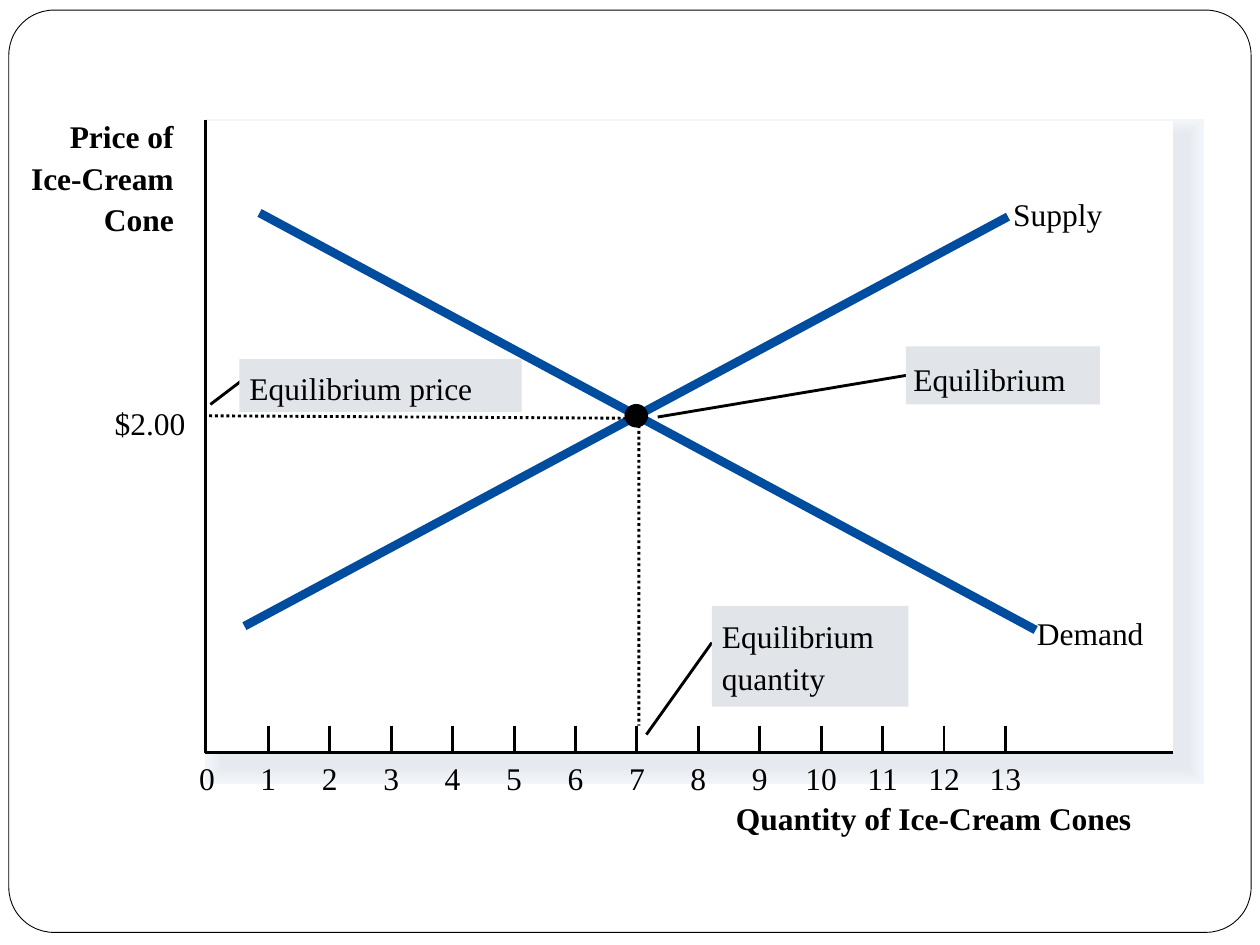
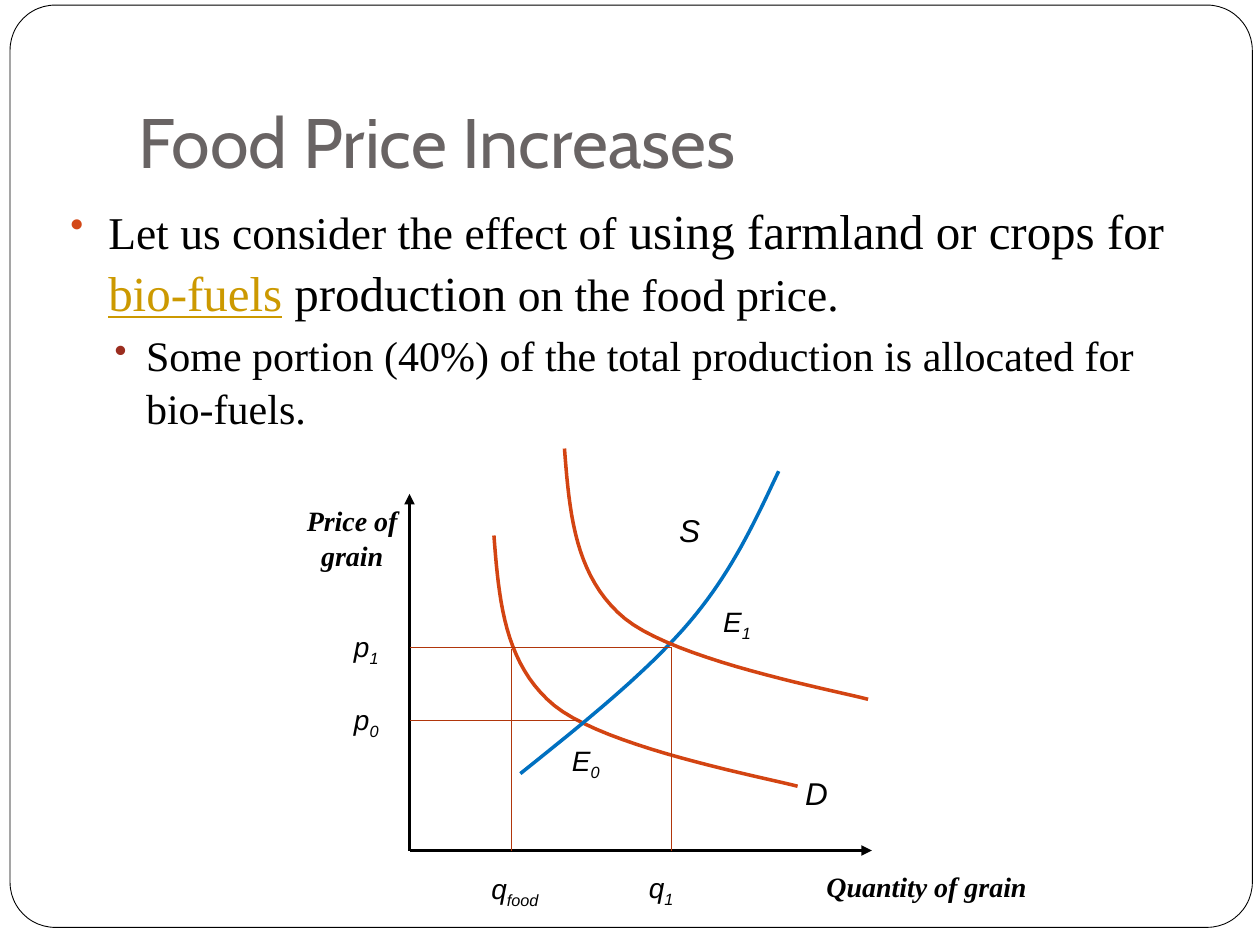
from lxml import etree
from pptx import Presentation
from pptx.dml.color import RGBColor
from pptx.enum import dml, shapes, text
from pptx.oxml import ns
from pptx.util import Inches, Pt

COLORS = {
    "black": "000000", "white": "FFFFFF", "callout": "E1E5E9", "curve": "004C9F",
    "halo_outer": "F3F6F9", "halo_inner": "E6E9EF", "title": "696464",
    "link": "CC9900", "bullet": "D34817", "sub_bullet": "9B2D1F",
    "demand": "D34412", "supply": "0070C0", "guide": "B1360B",
}
SERIF, SANS, TITLE_FONT = "Times New Roman", "Arial", "Cabin"
AXIS_WIDTH = 1.63

# Slide 1: market equilibrium
PLOT = (1.64, 0.96, 7.67, 5.02)
HALO = (1.76, 1.07, 7.67, 5.02)
HALO_LAYERS, HALO_WIDTHS = 11, (18.5, 1.63)
AXES = [(1.63, 0.95), (1.63, 5.97), (9.31, 5.97)]
TICK_TOP, TICK_BOTTOM = 5.76, 5.97
FIRST_TICK, LAST_TICK, TICK_COUNT = 2.13, 7.98, 13
PRICE_TITLE = ["Price of", "Ice-Cream", "Cone"]
# lines, box, text inset (left, top), pointer from and to
CALLOUTS = [
    (["Equilibrium", "quantity"], (5.65, 4.81, 1.56, 0.8), (0.08, 0.06), (5.65, 5.1, 5.13, 5.83)),
    (["Equilibrium price"], (1.9, 2.85, 2.24, 0.42), (0.08, 0.05), (1.92, 3.02, 1.67, 3.21)),
    (["Equilibrium"], (7.19, 2.75, 1.54, 0.46), (0.06, 0.08), (7.25, 2.97, 5.22, 3.31)),
]
# name, line, label box
MARKET_LINES = [
    ("Supply", (8, 1.72, 1.94, 4.97), (8.04, 1.52, 0.79, 0.31)),
    ("Demand", (2.06, 1.69, 8.22, 5), (8.23, 4.84, 0.97, 0.32)),
]
PRICE_GUIDE = (1.66, 3.3, 5.04, 3.32)
QUANTITY_GUIDE = [(5.02, 3.3), (5.07, 3.37), (5.07, 5.76)]
EQUILIBRIUM_DOT = (4.96, 3.21, 0.18, 0.18)

# Slide 2: food prices
TITLE = "Food Price Increases"
# indent, hanging, space before, bullet colour, runs of (text, size, colour)
BULLETS = [
    (0.3, 0.3, 5, "bullet", [
        ("Let us consider the effect of ", 26, "black"),
        ("using farmland or crops for ", 28, "black"),
        ("bio-fuels", 28, "link"),
        (" production", 28, "black"),
        (" on the food price.", 26, "black")]),
    (0.6, 0.25, 3, "sub_bullet", [
        ("Some portion (40%) of the total production is allocated for bio-fuels.", 24, "black")]),
]
ORIGIN = (3.25, 6.75)
AXIS_ENDS = [(3.25, 3.92), (6.92, 6.75)]
DEMAND_CURVE = [(3.92, 4.25), (3.96, 4.76), (4, 5.27), (4.4, 5.6),
                (4.81, 5.93), (6.02, 6.16), (6.33, 6.24)]
DEMAND_SHIFT = (0.56, -0.69)
SUPPLY_CURVE = [(4.13, 6.14), (4.63, 5.74), (5.13, 5.34), (5.47, 4.94),
                (5.81, 4.54), (5.99, 4.14), (6.18, 3.74)]
GUIDES = [(5.33, 5.14, 3.25, 5.14), (4.61, 5.72, 3.25, 5.72),
          (5.33, 5.14, 5.33, 6.75), (4.06, 5.15, 4.06, 6.75)]
# symbol, subscript, size, box
SYMBOLS = [
    ("D", "", 18, (6.33, 6.08, 0.32, 0.31)),
    ("S", "", 18, (5.33, 4, 0.35, 0.33)),
    ("E", "0", 16, (4.48, 5.84, 0.43, 0.4)),
    ("E", "1", 16, (5.68, 4.74, 0.43, 0.4)),
    ("p", "0", 16, (2.75, 5.52, 0.43, 0.4)),
    ("p", "1", 16, (2.75, 4.94, 0.43, 0.4)),
    ("q", "1", 16, (5.09, 6.85, 0.43, 0.4)),
    ("q", "food", 16, (3.84, 6.86, 0.64, 0.4)),
]
GRAIN_AXIS_TITLES = [
    (["Price of", "grain"], (2.24, 3.92, 1.11, 0.64), text.PP_ALIGN.CENTER),
    (["Quantity of grain"], (6.5, 6.83, 1.96, 0.38), text.PP_ALIGN.LEFT),
]


def rgb(color):
    return RGBColor.from_string(COLORS.get(color, color))


def inches(values):
    return [Inches(value) for value in values]


def add_child(parent, tag, **attributes):
    return etree.SubElement(parent, ns.qn(tag), attributes)


def style_line(shape, color, width, dash=None):
    shape.line.color.rgb = rgb(color)
    shape.line.width = Pt(width)
    if dash:
        shape.line.dash_style = dash


def add_box(slide, kind, box, fill, line=None, width=0.5):
    shape = slide.shapes.add_shape(kind, *inches(box))
    shape.shadow.inherit = False
    shape.fill.solid()
    shape.fill.fore_color.rgb = rgb(fill)
    if line:
        style_line(shape, line, width)
    else:
        shape.line.fill.background()
    return shape


def add_line(slide, ends, color="black", width=AXIS_WIDTH, dash=None, arrow=False):
    line = slide.shapes.add_connector(shapes.MSO_CONNECTOR.STRAIGHT, *inches(ends))
    style_line(line, color, width, dash)
    if arrow:
        add_child(line.line._get_or_add_ln(), "a:tailEnd", type="triangle")
    add_child(line._element.spPr, "a:effectLst")


def add_polyline(slide, points, color="black", width=AXIS_WIDTH, dash=None):
    start, *rest = [tuple(inches(point)) for point in points]
    builder = slide.shapes.build_freeform(*start)
    builder.add_line_segments(rest, close=False)
    shape = builder.convert_to_shape()
    shape.shadow.inherit = False
    shape.fill.background()
    style_line(shape, color, width, dash)


def sample_curve(knots, steps=20):
    """Points along joined cubic Bezier segments."""
    points = [knots[0]]
    for first in range(0, len(knots) - 1, 3):
        segment = knots[first:first + 4]
        for step in range(1, steps + 1):
            t = step / steps
            weights = ((1 - t) ** 3, 3 * t * (1 - t) ** 2, 3 * t * t * (1 - t), t ** 3)
            points.append(tuple(sum(weight * knot[axis] for weight, knot in zip(weights, segment))
                                for axis in (0, 1)))
    return points


def set_insets(frame, left, top, right, bottom):
    frame.word_wrap = True
    frame.margin_left, frame.margin_top = Inches(left), Inches(top)
    frame.margin_right, frame.margin_bottom = Inches(right), Inches(bottom)


def add_frame(slide, box, insets=(0, 0, 0, 0)):
    frame = slide.shapes.add_textbox(*inches(box)).text_frame
    set_insets(frame, *insets)
    return frame


def set_font(font, name, size, color="black", bold=False, italic=False):
    font.name, font.size = name, Pt(size)
    font.bold, font.italic = bold, italic
    font.color.rgb = rgb(color)


def write_lines(frame, lines, size=18, align=text.PP_ALIGN.LEFT, spacing=1.1,
                bold=False, italic=False):
    frame.vertical_anchor = text.MSO_ANCHOR.TOP
    for index, line in enumerate(lines):
        paragraph = frame.add_paragraph() if index else frame.paragraphs[0]
        paragraph.text = line
        paragraph.alignment = align
        paragraph.line_spacing = spacing
        set_font(paragraph.font, SERIF, size, bold=bold, italic=italic)


def add_slide(presentation, frame_left, frame_top):
    slide = presentation.slides.add_slide(presentation.slide_layouts[6])
    slide.background.fill.solid()
    slide.background.fill.fore_color.rgb = rgb("white")
    card = add_box(slide, shapes.MSO_SHAPE.ROUNDED_RECTANGLE,
                   (frame_left, frame_top, 9.86, 7.32), "white", "black")
    card.adjustments[0] = 0.049
    return slide


def add_halo(slide):
    """Soft shadow of stacked outlines that narrow and darken inwards."""
    outer, inner = rgb("halo_outer"), rgb("halo_inner")
    for layer in range(HALO_LAYERS):
        share = layer / (HALO_LAYERS - 1)
        color = str(RGBColor(*(round(a + (b - a) * share) for a, b in zip(outer, inner))))
        width = HALO_WIDTHS[0] + (HALO_WIDTHS[1] - HALO_WIDTHS[0]) * share
        shape = add_box(slide, shapes.MSO_SHAPE.RECTANGLE, HALO, color, color, width)
        add_child(shape.line._get_or_add_ln(), "a:miter", lim="800000")


def build_equilibrium(presentation):
    slide = add_slide(presentation, 0.07, 0.08)
    add_halo(slide)
    add_box(slide, shapes.MSO_SHAPE.RECTANGLE, PLOT, "white")

    tick_gap = (LAST_TICK - FIRST_TICK) / (TICK_COUNT - 1)
    for number in range(TICK_COUNT + 1):
        x = FIRST_TICK + (number - 1) * tick_gap
        if number:
            add_line(slide, (x, TICK_TOP, x, TICK_BOTTOM))
        write_lines(add_frame(slide, (x - 0.2, 5.99, 0.4, 0.31)), [str(number)],
                    align=text.PP_ALIGN.CENTER)
    add_polyline(slide, AXES)
    write_lines(add_frame(slide, (0.18, 0.9, 1.2, 0.98)), PRICE_TITLE,
                align=text.PP_ALIGN.RIGHT, bold=True)
    write_lines(add_frame(slide, (5.84, 6.31, 3.52, 0.35)), ["Quantity of Ice-Cream Cones"],
                bold=True)

    for lines, box, (left, top), pointer in CALLOUTS:
        add_line(slide, pointer)
        callout = add_box(slide, shapes.MSO_SHAPE.RECTANGLE, box, "callout")
        set_insets(callout.text_frame, left, top, 0, 0)
        write_lines(callout.text_frame, lines)
    for name, ends, label in MARKET_LINES:
        add_line(slide, ends, "curve", 5)
        write_lines(add_frame(slide, label), [name])

    dotted = dml.MSO_LINE.ROUND_DOT
    add_line(slide, PRICE_GUIDE, dash=dotted)
    add_polyline(slide, QUANTITY_GUIDE, dash=dotted)
    add_box(slide, shapes.MSO_SHAPE.OVAL, EQUILIBRIUM_DOT, "black", "black")
    write_lines(add_frame(slide, (0.91, 3.18, 0.65, 0.3)), ["$2.00"])


def add_bullets(slide):
    frame = add_frame(slide, (0.5, 1.5, 9, 4.95), (0.06,) * 4)
    for index, (indent, hanging, before, bullet, runs) in enumerate(BULLETS):
        paragraph = frame.add_paragraph() if index else frame.paragraphs[0]
        paragraph.level = index
        paragraph.line_spacing = 1.06
        paragraph.space_before = Pt(before)
        properties = paragraph._p.get_or_add_pPr()
        properties.set("marL", str(Inches(indent)))
        properties.set("indent", str(-Inches(hanging)))
        add_child(add_child(properties, "a:buClr"), "a:srgbClr", val=COLORS[bullet])
        add_child(properties, "a:buSzPct", val="85000")
        add_child(properties, "a:buChar", char="•")
        for words, size, color in runs:
            run = paragraph.add_run()
            run.text = words
            set_font(run.font, SERIF, size, color)
            run.font.underline = color == "link"


def add_symbol(slide, symbol, subscript, size, box):
    paragraph = add_frame(slide, box, (0.06,) * 4).paragraphs[0]
    set_font(paragraph.font, SANS, size, italic=True)
    paragraph.add_run().text = symbol
    if subscript:
        run = paragraph.add_run()
        run.text = subscript
        run._r.get_or_add_rPr().set("baseline", "-25000")


def build_food_prices(presentation):
    slide = add_slide(presentation, 0.08, 0.04)
    title = add_frame(slide, (1, 0.3, 8.5, 1.25), (0.1, 0.05, 0.1, 0.1))
    title.vertical_anchor = text.MSO_ANCHOR.BOTTOM
    title.text = TITLE
    set_font(title.paragraphs[0].font, TITLE_FONT, 40, "title")
    add_bullets(slide)

    for end in AXIS_ENDS:
        add_line(slide, ORIGIN + end, width=2, arrow=True)
    shifted_demand = [(x + DEMAND_SHIFT[0], y + DEMAND_SHIFT[1]) for x, y in DEMAND_CURVE]
    for knots, color in ((DEMAND_CURVE, "demand"), (SUPPLY_CURVE, "supply"),
                         (shifted_demand, "demand")):
        add_polyline(slide, sample_curve(knots), color, 2)
    for guide in GUIDES:
        add_line(slide, guide, "guide", 0.75)
    for symbol in SYMBOLS:
        add_symbol(slide, *symbol)
    for lines, box, align in GRAIN_AXIS_TITLES:
        write_lines(add_frame(slide, box, (0.06,) * 4), lines, 16, align, 1.05,
                    bold=True, italic=True)


def main():
    presentation = Presentation()
    presentation.slide_width, presentation.slide_height = Inches(10), Inches(7.5)
    build_equilibrium(presentation)
    build_food_prices(presentation)
    presentation.save("out.pptx")


if __name__ == "__main__":
    main()
